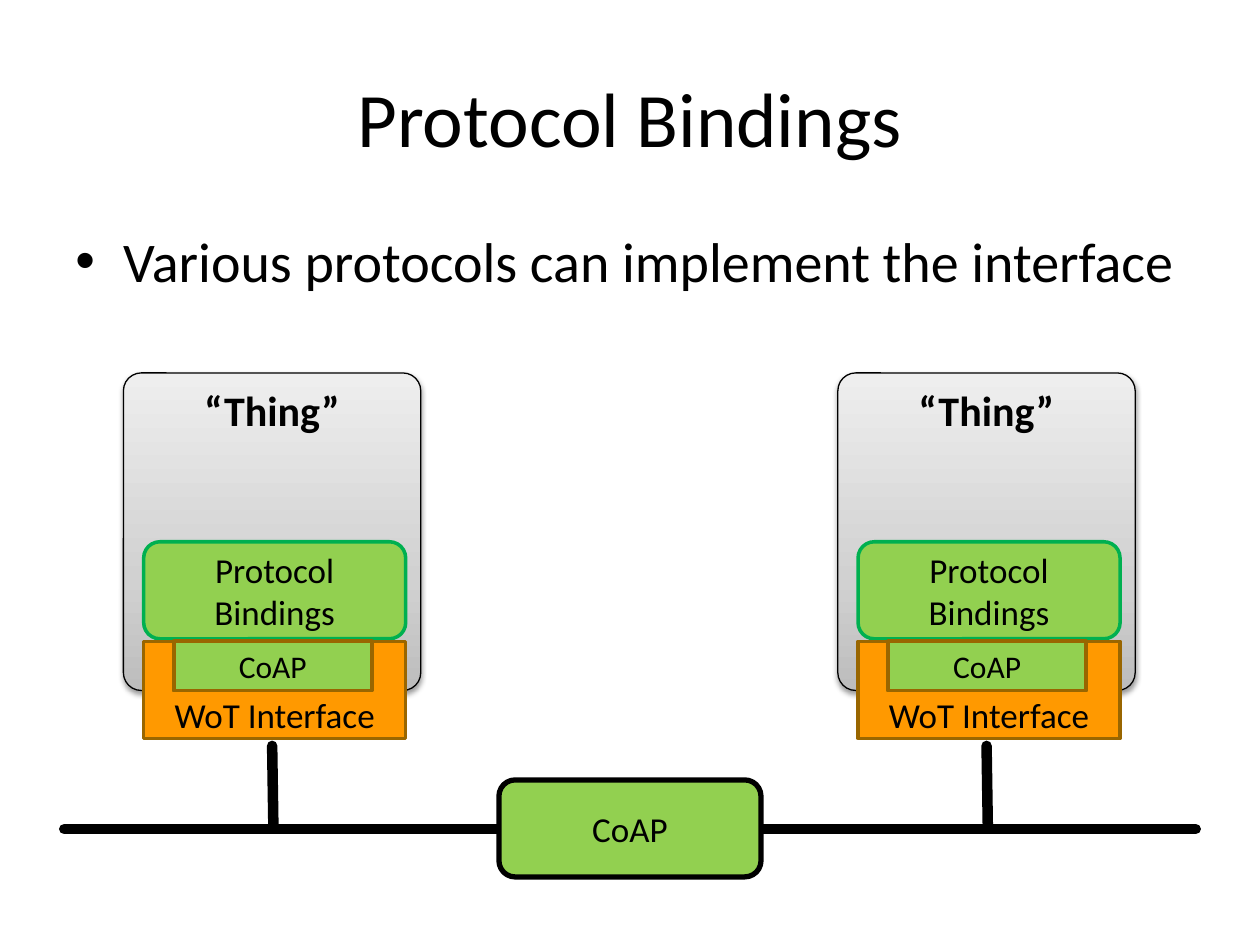
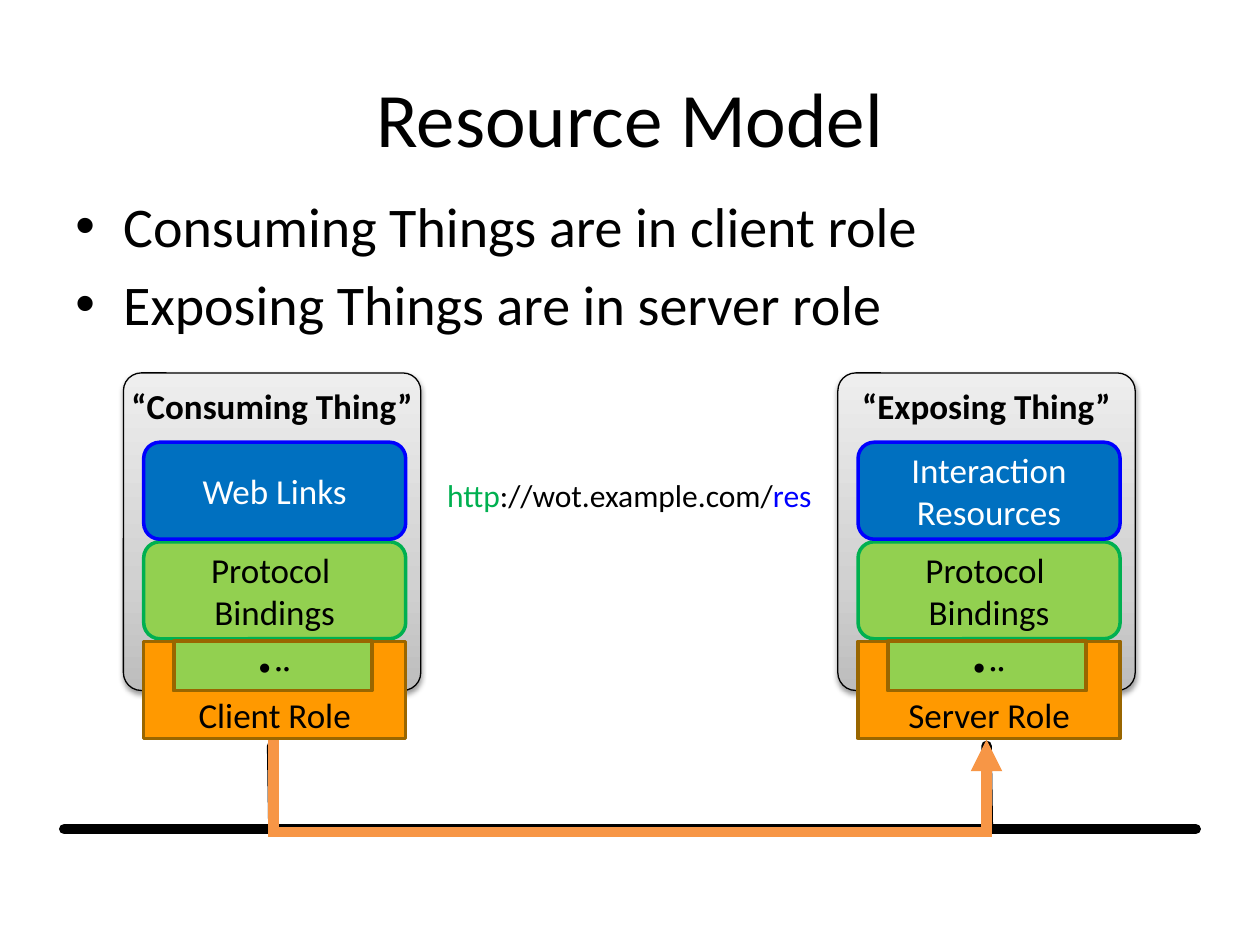
from copy import deepcopy
from dataclasses import dataclass

from lxml import etree
from pptx import Presentation, util as u
from pptx.dml.color import RGBColor
from pptx.enum import shapes, text
from pptx.oxml import ns

COLUMNS, ROWS = 100, 75          # the slide grid
STATION_SHIFT = 56.7             # columns from the left thing to the right one
BOX_WIDTH, BOX_HEIGHT = 20.8, 7.7


@dataclass(frozen=True)
class Theme:
    font: str = "Calibri"
    black: str = "000000"
    white: str = "FFFFFF"
    green: str = "92D050"
    dark_green: str = "00B050"
    blue: str = "0070C0"
    bright_blue: str = "0000FF"
    amber: str = "FF9900"
    brown: str = "996600"
    orange: str = "F79646"
    card_stops: tuple = ((0, "BDBDBD"), (0.35, "D1D1D1"), (1, "EEEEEE"))
    title: int = 44
    body: int = 32
    heading: int = 24
    label: int = 20
    small: int = 18


THEME = Theme()


def add_xml(parent, tag, **attributes):
    """Append a drawing element to parent and return it."""
    return etree.SubElement(parent, ns.qn(f"a:{tag}"), attributes)


def write(shape, paragraphs, size, color=THEME.black, bold=False, align="CENTER",
          anchor="MIDDLE", wrap=True, insets=None, bullet=False):
    """Fill a shape; a paragraph is a string or a list of (text, color) runs."""
    frame = shape.text_frame
    frame.word_wrap = wrap
    frame.vertical_anchor = text.MSO_ANCHOR[anchor]
    if insets:
        (frame.margin_left, frame.margin_top,
         frame.margin_right, frame.margin_bottom) = map(u.Inches, insets)
    for index, content in enumerate(paragraphs):
        paragraph = frame.add_paragraph() if index else frame.paragraphs[0]
        paragraph.alignment = text.PP_ALIGN[align]
        if bullet:
            properties = paragraph._p.get_or_add_pPr()
            indent = u.Inches(0.38)
            properties.set("marL", str(indent))
            properties.set("indent", str(-indent))
            add_xml(properties, "buFont", typeface="Arial")
            add_xml(properties, "buChar", char="•")
            if index:
                paragraph.space_before = u.Pt(0.2 * size)
        runs = [(content, color)] if isinstance(content, str) else content
        for words, run_color in runs:
            for number, line in enumerate(words.split("\n")):
                if number:
                    paragraph.add_line_break()
                run = paragraph.add_run()
                run.text = line
                run.font.name = THEME.font
                run.font.size = u.Pt(size)
                run.font.bold = bold
                run.font.color.rgb = RGBColor.from_string(run_color)


class Board:
    """Holds the theme and the current slide, and draws in grid units."""

    def __init__(self, presentation, theme):
        self.presentation, self.theme = presentation, theme
        self.slide = None

    def x(self, columns):
        return round(self.presentation.slide_width * columns / COLUMNS)

    def y(self, rows):
        return round(self.presentation.slide_height * rows / ROWS)

    def area(self, left, top, width, height):
        return self.x(left), self.y(top), self.x(width), self.y(height)

    def new_slide(self, title, bullets, body_top):
        self.slide = self.presentation.slides.add_slide(self.presentation.slide_layouts[6])
        self.text_box((5, 3, 90, 12.5), [title], self.theme.title)
        self.text_box((5, body_top, 90, 67 - body_top), bullets, self.theme.body,
                      align="LEFT", anchor="TOP", bullet=True)

    def text_box(self, area, paragraphs, size, **style):
        box = self.slide.shapes.add_textbox(*self.area(*area))
        write(box, paragraphs, size, **style)
        return box

    def paint(self, shape, fill, line, width):
        shape.shadow.inherit = False
        shape.fill.solid()
        shape.fill.fore_color.rgb = RGBColor.from_string(fill)
        shape.line.color.rgb = RGBColor.from_string(line)
        shape.line.width = u.Pt(width)

    def box(self, area, words, fill, line, width=2, size=THEME.label,
            color=THEME.black, kind="ROUNDED_RECTANGLE"):
        shape = self.slide.shapes.add_shape(shapes.MSO_SHAPE[kind], *self.area(*area))
        self.paint(shape, fill, line, width)
        write(shape, [words], size, color)
        return shape

    def card(self, left, heading, size):
        """Grey gradient card with a soft shadow and a bold heading."""
        theme = self.theme
        card = self.slide.shapes.add_shape(
            shapes.MSO_SHAPE.ROUNDED_RECTANGLE, *self.area(left, 29.6, 23.6, 25.2))
        card.adjustments[0] = 0.06
        self.paint(card, theme.white, theme.black, 0.75)
        card.fill.gradient()
        card.fill.gradient_angle = 90
        properties = card.element.spPr
        stops = properties.find(".//" + ns.qn("a:gsLst"))
        stops.append(deepcopy(stops[0]))
        for stop, (position, color) in zip(card.fill.gradient_stops, theme.card_stops):
            stop.position = position
            stop.color.rgb = RGBColor.from_string(color)
        shadow = add_xml(properties.find(ns.qn("a:effectLst")), "outerShdw",
                         blurRad=str(u.Pt(3.1)), dist=str(u.Pt(1.6)),
                         dir="5400000", rotWithShape="0")
        add_xml(add_xml(shadow, "srgbClr", val=theme.black), "alpha", val="38000")
        write(card, [heading], size, bold=True, anchor="TOP", wrap=False)

    def socket(self, left, words):
        """U-shaped interface block whose notch takes the port."""
        top, right, bottom = 50.9, left + BOX_WIDTH, 58.6
        notch_left, notch_right, notch_bottom = left + 2.4, left + 18.1, 54.8
        corners = [(left, top), (notch_left, top), (notch_left, notch_bottom),
                   (notch_right, notch_bottom), (notch_right, top),
                   (right, top), (right, bottom), (left, bottom)]
        points = [(self.x(column), self.y(row)) for column, row in corners]
        builder = self.slide.shapes.build_freeform(*points[0])
        builder.add_line_segments(points[1:], close=True)
        shape = builder.convert_to_shape()
        self.paint(shape, self.theme.amber, self.theme.brown, 2)
        write(shape, [words], self.theme.label, anchor="BOTTOM", insets=(0.1, 0, 0.1, 0.02))

    def connector(self, start, end, color=THEME.black, kind="STRAIGHT", cap="rnd"):
        line = self.slide.shapes.add_connector(
            shapes.MSO_CONNECTOR[kind], self.x(start[0]), self.y(start[1]),
            self.x(end[0]), self.y(end[1]))
        line.line.color.rgb = RGBColor.from_string(color)
        line.line.width = u.Pt(6)
        line.line._ln.set("cap", cap)
        add_xml(line.element.spPr, "effectLst")
        return line

    def bus(self):
        self.connector((5.1, 65.8), (94.9, 65.8))
        for shift in (0, STATION_SHIFT):
            self.connector((21.7 + shift, 65.6), (21.6 + shift, 59.2))

    def request_arrow(self):
        """Elbow along the bus: a vertical elbow turned by 270 degrees."""
        center, middle, half_span, half_rise, drop = 50, 58.6, 28.3, 0.1, 7.5
        arrow = self.connector((center + half_rise, middle - half_span),
                               (center - half_rise, middle + half_span),
                               self.theme.orange, "ELBOW", "flat")
        properties = arrow.element.spPr
        properties.find(ns.qn("a:xfrm")).set("rot", str(270 * 60000))
        guides = properties.find(".//" + ns.qn("a:avLst"))
        bend = round(drop / (2 * half_rise) * 100000)
        add_xml(guides, "gd", name="adj1", fmla=f"val {bend}")
        add_xml(arrow.line._ln, "miter", lim="800000")
        add_xml(arrow.line._ln, "tailEnd", type="triangle")

    def station(self, shift, heading, size, binding, port, interface, resource=None):
        """One thing: card, optional resource layer, bindings, socket and port."""
        theme, left = self.theme, 11.4 + shift
        self.card(9.8 + shift, heading, size)
        self.box((left, 43, BOX_WIDTH, BOX_HEIGHT), binding, theme.green, theme.dark_green)
        if resource:
            self.box((left, 35.1, BOX_WIDTH, BOX_HEIGHT), resource,
                     theme.blue, theme.bright_blue, color=theme.white)
        self.socket(left, interface)
        self.box((left + 2.4, 50.9, 15.7, 3.9), port, theme.green, theme.brown,
                 2.25, theme.small, kind="RECTANGLE")


def protocol_bindings(board):
    theme = board.theme
    board.new_slide("Protocol Bindings", ["Various protocols can implement the interface"], 17.5)
    board.bus()
    for shift in (0, STATION_SHIFT):
        board.station(shift, "“Thing”", theme.heading, "Protocol\nBindings",
                      "CoAP", "WoT Interface")
    # Shared protocol on the bus
    board.box((39.6, 61.9, BOX_WIDTH, BOX_HEIGHT), "CoAP", theme.green, theme.black, 3)


def resource_model(board):
    theme = board.theme
    board.new_slide("Resource Model", ["Consuming Things are in client role",
                                       "Exposing Things are in server role"], 14.7)
    board.bus()
    board.request_arrow()
    roles = [("“Consuming Thing”", "Client Role", "Web Links"),
             ("“Exposing Thing”", "Server Role", "Interaction\nResources")]
    for index, (heading, role, resource) in enumerate(roles):
        board.station(index * STATION_SHIFT, heading, theme.label, "Protocol \nBindings",
                      "∙··", role, resource)
    # Address between the two things
    address = [("http", theme.dark_green), ("://wot.example.com/", theme.black),
               ("res", theme.bright_blue)]
    box = board.text_box((34.3, 37.3, 31.3, 4), [address], theme.small, anchor="TOP", wrap=False)
    box.text_frame.auto_size = text.MSO_AUTO_SIZE.SHAPE_TO_FIT_TEXT


def main():
    presentation = Presentation()
    presentation.slide_width, presentation.slide_height = u.Inches(10), u.Inches(7.5)
    board = Board(presentation, THEME)
    protocol_bindings(board)
    resource_model(board)
    presentation.save("out.pptx")


if __name__ == "__main__":
    main()
